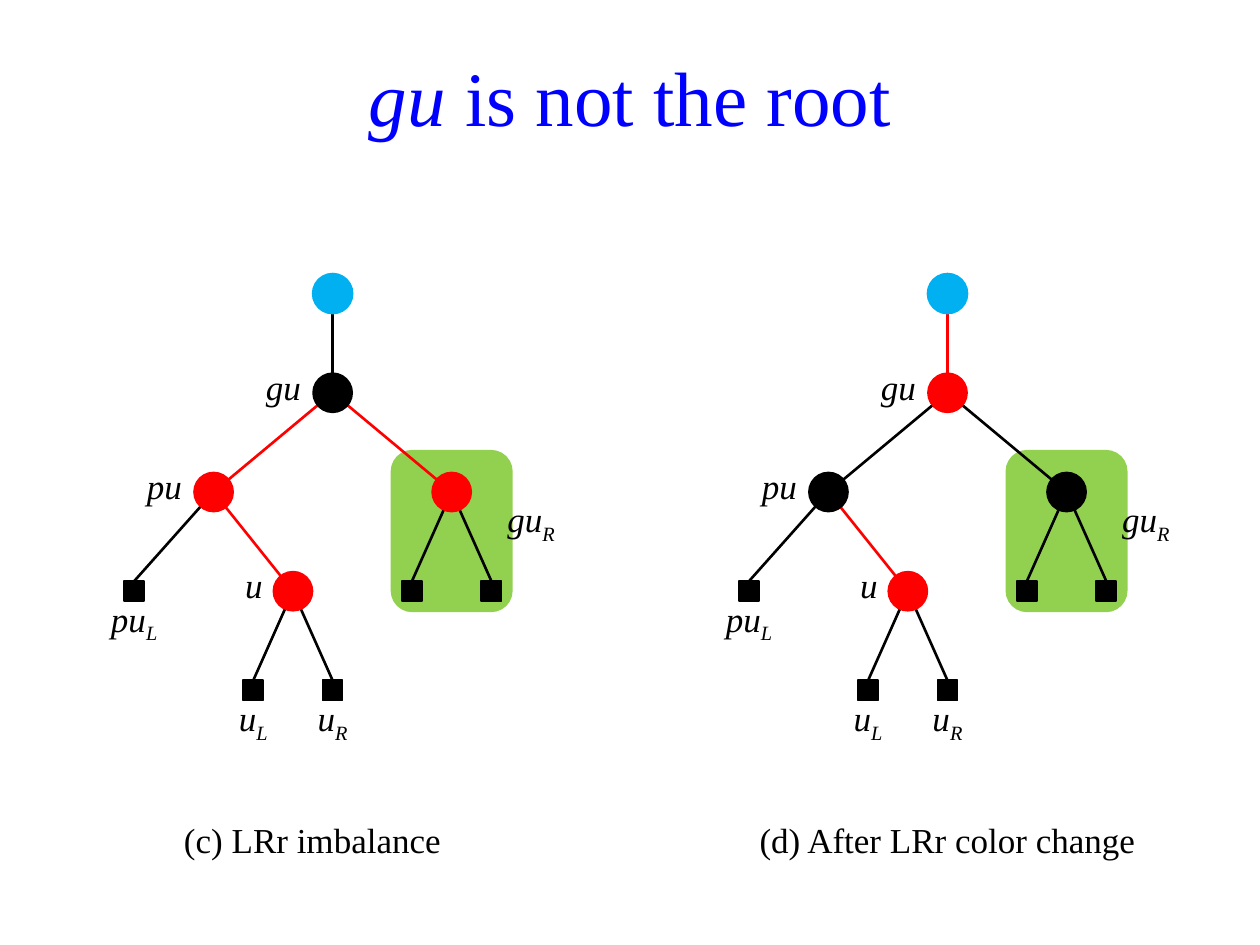
"""Build a slide on red-black tree colour changes when gu is not the root."""
from lxml import etree
from pptx import Presentation
from pptx import util as u
from pptx.dml import color
from pptx.enum import shapes, text
from pptx.oxml import ns

BLACK = color.RGBColor(0, 0, 0)
RED = color.RGBColor(255, 0, 0)
BLUE = color.RGBColor(0, 0, 255)
SKY = color.RGBColor(0, 176, 240)
GREEN = color.RGBColor(146, 208, 80)
FORMS = shapes.MSO_SHAPE

deck = Presentation()
deck.slide_width, deck.slide_height = u.Inches(10), u.Inches(7.5)
slide = deck.slides.add_slide(deck.slide_layouts[6])


def add_text(x, y, width, height, runs, size=20, ink=BLACK, **frame):
    """Centre a text box on a point; each run is (words, italic, lowered)."""
    box = slide.shapes.add_textbox(
        u.Inches(x - width / 2), u.Inches(y - height / 2), u.Inches(width), u.Inches(height))
    for key, val in frame.items():
        setattr(box.text_frame, key, val)
    line = box.text_frame.paragraphs[0]
    line.alignment = text.PP_ALIGN.CENTER
    for words, slant, low in runs:
        run = line.add_run()
        run.text = words
        look = {"name": "Times New Roman", "size": u.Pt(size), "italic": slant}
        for key, val in look.items():
            setattr(run.font, key, val)
        run.font.color.rgb = ink
        if low:
            run.font._element.set("baseline", "-25000")


def add_form(kind, x, y, width, height, tint, weight):
    """Centre a plain shape of one colour on a point."""
    form = slide.shapes.add_shape(
        kind, u.Inches(x - width / 2), u.Inches(y - height / 2), u.Inches(width), u.Inches(height))
    form.shadow.inherit = False
    form.fill.solid()
    form.fill.fore_color.rgb = form.line.color.rgb = tint
    form.line.width = u.Pt(weight)


# name: (column, row, parent)
NODES = {
    "top": (0, 0, None), "gu": (0, 1, "top"),
    "pu": (-1.5, 2, "gu"), "guR": (1.5, 2, "gu"),
    "puL": (-2.5, 3, "pu"), "u": (-0.5, 3, "pu"),
    "guRL": (1, 3, "guR"), "guRR": (2, 3, "guR"),
    "uL": (-1, 4, "u"), "uR": (0, 4, "u"),
}
LEAVES = {"puL", "guRL", "guRR", "uL", "uR"}
# name: (stem, subscript, shift right, shift down, width)
LABELS = {
    "gu": ("gu", "", -0.39, 0, 0.47), "pu": ("pu", "", -0.39, 0, 0.47),
    "u": ("u", "", -0.31, 0, 0.31), "guR": ("gu", "R", 0.63, 0.31, 0.63),
    "puL": ("pu", "L", 0, 0.31, 0.63), "uL": ("u", "L", 0, 0.31, 0.63),
    "uR": ("u", "R", 0, 0.31, 0.63),
}
TREES = [
    (2.64, {"gu": BLACK, "pu": RED, "guR": RED}, 2.48, 2.52, "(c) LRr imbalance"),
    (7.52, {"gu": RED, "pu": BLACK, "guR": BLACK}, 7.52, 3.47, "(d) After LRr color change"),
]
TAG = {
    "word_wrap": True, "vertical_anchor": text.MSO_ANCHOR.BOTTOM,
    "margin_left": u.Inches(0.07), "margin_right": u.Inches(0.07),
    "margin_top": 0, "margin_bottom": u.Inches(0.04),
}
MID = {"word_wrap": True, "vertical_anchor": text.MSO_ANCHOR.MIDDLE}

add_text(5, 0.76, 9.14, 0.94, [("gu ", True, False), ("is not the root", False, False)],
         44, BLUE, **MID)

for root, tints, mid, width, words in TREES:
    tints = {"top": SKY, "u": RED, **tints}
    spots = {name: (root + 0.63 * col, 2.33 + 3.15 * row / 4)
             for name, (col, row, _) in NODES.items()}
    x, y = spots["guR"]
    add_form(FORMS.FLOWCHART_ALTERNATE_PROCESS, x, y + 0.31, 0.94, 1.26, GREEN, 2)

    for name, (_, _, up) in NODES.items():
        if up:
            x, y = spots[name]
            end = y - 0.08 if name in LEAVES else y
            ends = [u.Inches(n) for n in (*spots[up], x, end)]
            edge = slide.shapes.add_connector(shapes.MSO_CONNECTOR.STRAIGHT, *ends)
            edge.line.color.rgb = tints.get(name, BLACK)
            edge.line.width = u.Pt(1.5)
            etree.SubElement(edge._element.spPr, ns.qn("a:effectLst"))

    for name, (x, y) in spots.items():
        kind, side = (FORMS.RECTANGLE, 0.16) if name in LEAVES else (FORMS.OVAL, 0.31)
        add_form(kind, x, y, side, side, tints.get(name, BLACK), 1.5 if name == "top" else 1)

    for name, (stem, sub, right, down, wide) in LABELS.items():
        x, y = spots[name]
        runs = [(stem, True, False)] + ([(sub, True, True)] if sub else [])
        add_text(x + right, y + down, wide, 0.31, runs, **TAG)

    add_text(mid, 6.66, width, 0.47, [(words, False, False)], **MID)

deck.save("out.pptx")
